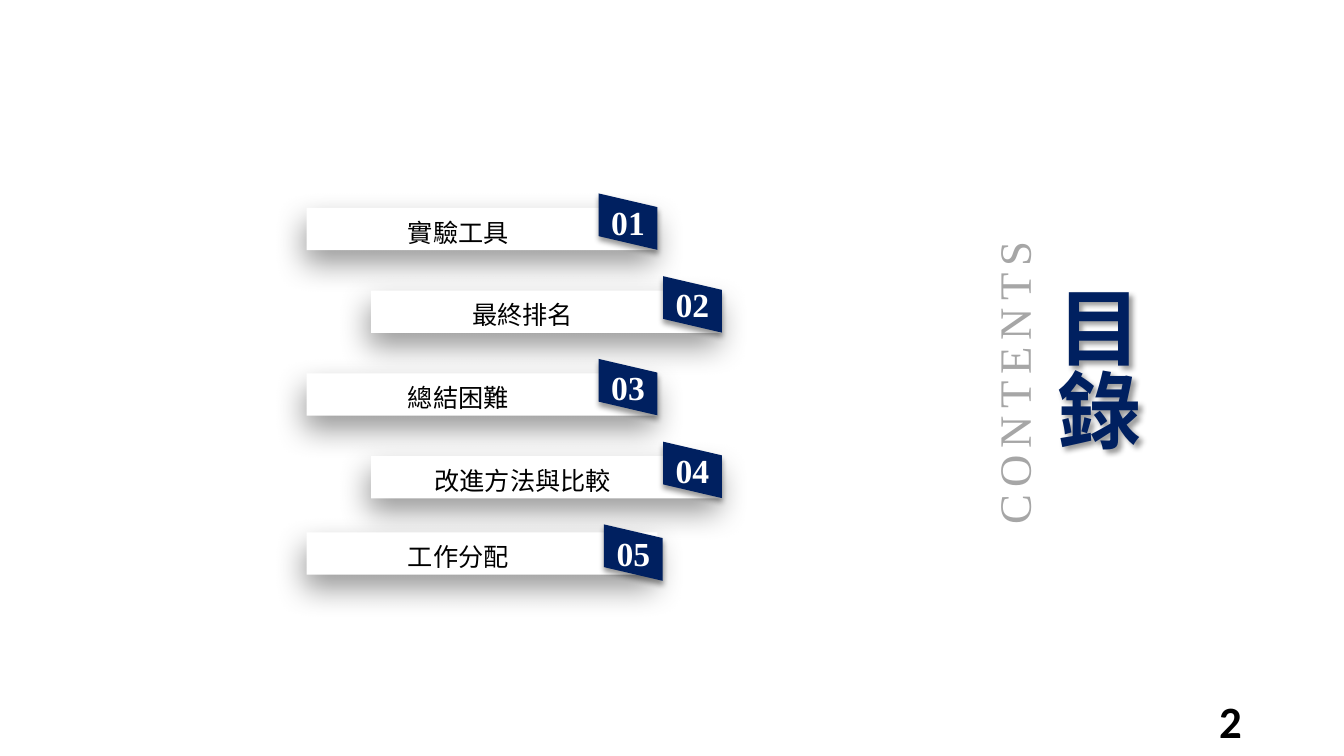
from lxml import etree
from pptx import Presentation
from pptx.dml.color import RGBColor
from pptx.enum.shapes import MSO_SHAPE
from pptx.enum.text import MSO_ANCHOR, MSO_AUTO_SIZE, PP_ALIGN
from pptx.oxml.ns import qn
from pptx.util import Pt

RECTANGLE = MSO_SHAPE.RECTANGLE
MIDDLE = MSO_ANCHOR.MIDDLE
FIXED = MSO_AUTO_SIZE.NONE
LEFT, CENTER, RIGHT = PP_ALIGN.LEFT, PP_ALIGN.CENTER, PP_ALIGN.RIGHT

CJK, SERIF, SANS = "Noto Sans CJK SC", "Times New Roman", "Calibri"
NAVY, WHITE, BLACK, GRAY = "002060", "FFFFFF", "000000", "A6A6A6"

BAR_SHADOW = (22, 10, 101)
TAG_SHADOW = (4, 3, 90)
TITLE_SHADOW = (4, 3, 45)

BAR_LEFT, BAR_TOP, BAR_WIDTH, BAR_HEIGHT = 219, 148.5, 250.6, 30.2
TAG_LEFT, TAG_TOP, TAG_WIDTH = 427.6, 138.2, 42
TAG_SIDE, TAG_SLANT = 30.5, 9.8
ROW_PITCH, INDENT = 59.1, 46

CHAPTERS = [
    ("實驗工具", 0, 0),
    ("最終排名", 0, 0),
    ("總結困難", 0, 0),
    ("改進方法與比較", 0, 0),
    ("工作分配", 4.7, 3.8),
]


def colour(hex_code):
    return RGBColor.from_string(hex_code)


def apply(target, values):
    for name, value in values.items():
        setattr(target, name, value)


class ContentsSlide:
    def __init__(self, deck):
        self.slide = deck.slides.add_slide(deck.slide_layouts[5])
        self.shapes = self.slide.shapes

    def shade(self, shape, blur, distance, angle):
        shape.shadow.inherit = False
        effects = shape._element.spPr.find(qn("a:effectLst"))
        outer = etree.SubElement(
            effects, qn("a:outerShdw"), blurRad=str(Pt(blur)), dist=str(Pt(distance)),
            dir=str(angle * 60000), algn="ctr", rotWithShape="0")
        tint = etree.SubElement(outer, qn("a:srgbClr"), val=BLACK)
        etree.SubElement(tint, qn("a:alpha"), val="40000")

    def paint(self, shape, fill, shadow):
        shape.fill.solid()
        shape.fill.fore_color.rgb = colour(fill)
        shape.line.fill.background()
        self.shade(shape, *shadow)

    def letter(self, shape, words, face, size, ink, align=CENTER, bold=False,
               wrap=True, insets=(7.2, 3.6, 7.2, 3.6), leading=None, tracking=0):
        frame = shape.text_frame
        sides = ("margin_left", "margin_top", "margin_right", "margin_bottom")
        apply(frame, dict(zip(sides, map(Pt, insets))))
        apply(frame, {"auto_size": FIXED, "word_wrap": wrap, "vertical_anchor": MIDDLE})
        paragraph = frame.paragraphs[0]
        apply(paragraph, {"alignment": align, "line_spacing": leading})
        run = paragraph.add_run()
        run.text = words
        apply(run.font, {"size": Pt(size), "bold": bold, "name": face})
        run.font.color.rgb = colour(ink)
        properties = run._r.get_or_add_rPr()
        etree.SubElement(properties, qn("a:ea"), typeface=face)
        if tracking:
            properties.set("spc", str(tracking * 100))

    def bar(self, left, top, words):
        strip = self.shapes.add_shape(
            RECTANGLE, Pt(left), Pt(top), Pt(BAR_WIDTH), Pt(BAR_HEIGHT))
        self.paint(strip, WHITE, BAR_SHADOW)
        self.letter(strip, words, CJK, 18, BLACK, insets=(8.6, 0, 42.5, 0), leading=1.2)

    def tag(self, left, top, number):
        right = left + TAG_WIDTH
        corners = [
            (left, top + TAG_SIDE),
            (right, top + TAG_SIDE + TAG_SLANT),
            (right, top + TAG_SLANT),
        ]
        outline = self.shapes.build_freeform(Pt(left), Pt(top))
        outline.add_line_segments([(Pt(x), Pt(y)) for x, y in corners], close=True)
        ribbon = outline.convert_to_shape()
        self.paint(ribbon, NAVY, TAG_SHADOW)
        self.letter(ribbon, number, SERIF, 24, WHITE, bold=True)

    def text(self, left, top, width, height, words, face, size, ink, rotation=0, **style):
        box = self.shapes.add_textbox(Pt(left), Pt(top), Pt(width), Pt(height))
        box.rotation = rotation
        self.letter(box, words, face, size, ink, **style)

    def title(self, left, top, width, height, words):
        heading = self.shapes.title
        apply(heading, {"left": Pt(left), "top": Pt(top),
                        "width": Pt(width), "height": Pt(height)})
        self.letter(heading, words, CJK, 60, NAVY, align=LEFT, bold=True, leading=0.82)
        self.shade(heading, *TITLE_SHADOW)


def main():
    deck = Presentation()
    apply(deck, {"slide_width": Pt(960), "slide_height": Pt(540)})
    contents = ContentsSlide(deck)
    contents.title(748, 221.8, 44, 94.3, "目錄")
    for row, (chapter, bar_lift, tag_shift) in enumerate(CHAPTERS):
        indent = row % 2 * INDENT
        drop = row * ROW_PITCH
        contents.bar(BAR_LEFT + indent, BAR_TOP + drop - bar_lift, chapter)
        contents.tag(TAG_LEFT + indent + tag_shift, TAG_TOP + drop, f"{row + 1:02}")
    contents.text(587.5, 249.8, 272.2, 47.5, "CONTENTS", SERIF, 32, GRAY,
                  rotation=270, wrap=False, tracking=5)
    contents.text(678.2, 500.4, 216, 28.8, "2", SANS, 32, BLACK, align=RIGHT, bold=True)
    deck.save("out.pptx")


if __name__ == "__main__":
    main()
